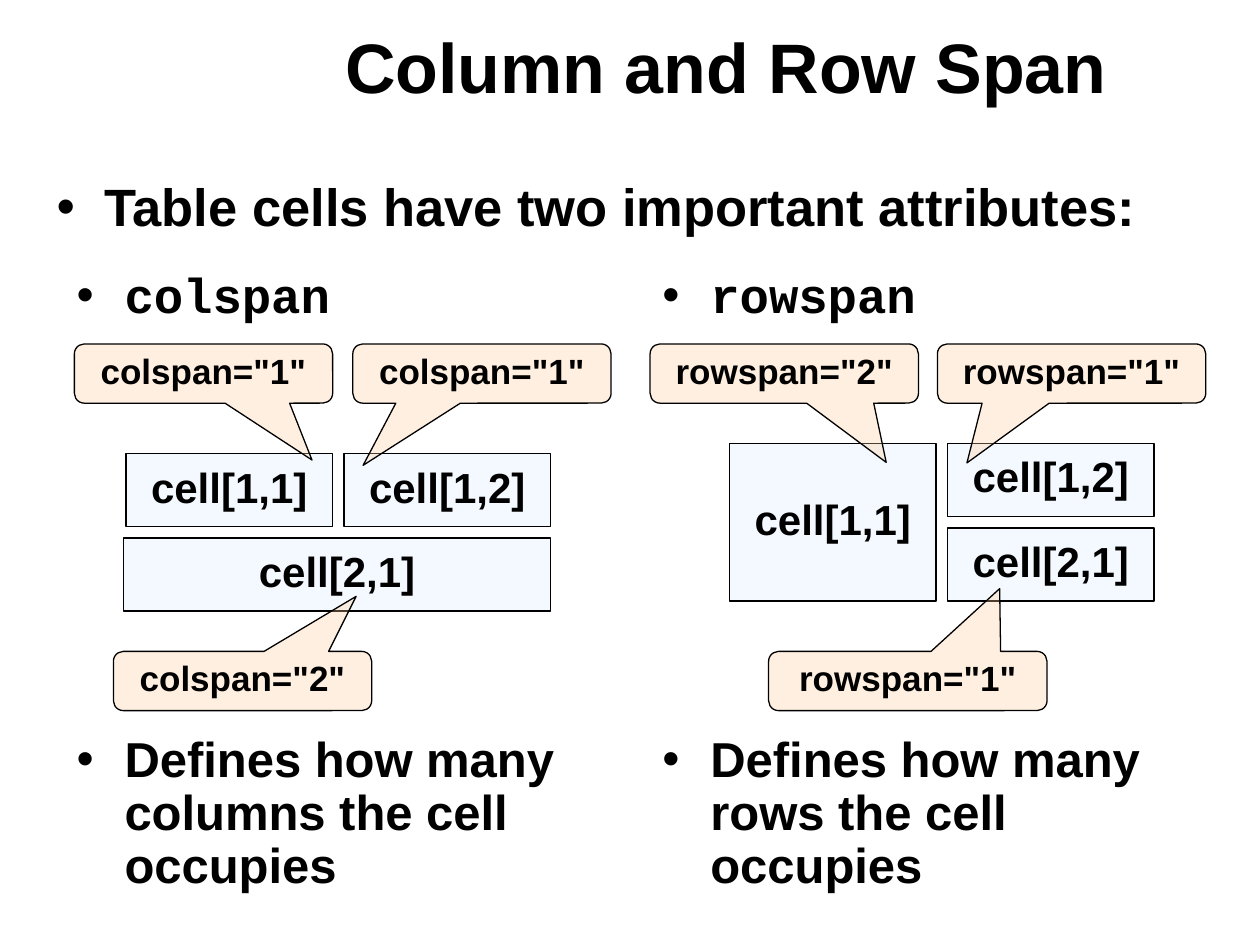
from typing import NamedTuple

from lxml.etree import SubElement
from pptx import Presentation
from pptx.dml.color import RGBColor
from pptx.enum.shapes import MSO_SHAPE
from pptx.enum.text import MSO_ANCHOR, PP_ALIGN
from pptx.oxml.ns import qn
from pptx.util import Inches, Pt

COLORS = {"ink": "000000", "cell": "DDECFF", "callout": "FFCC99"}
OPACITY = 30  # percent
CELL_WIDTH, CELL_HEIGHT, ROW_STEP = 1.64, 0.58, 0.67
CALLOUT_HEIGHT, UPPER_CALLOUTS, LOWER_CALLOUTS = 0.47, 2.73, 5.17
COLUMN_TOP, COLUMN_HEIGHT = 2.1, 5.04


class Cell(NamedTuple):
    text: str
    left: float
    top: float
    width: float = CELL_WIDTH
    height: float = CELL_HEIGHT


class Callout(NamedTuple):
    text: str
    left: float
    top: float
    width: float
    tip_x: float  # tip offset from the centre, as a share of the width
    tip_y: float  # the same, as a share of the height


class Column(NamedTuple):
    left: float
    width: float
    attribute: str
    meaning: str


def write(para, text: str, *, size: float, font: str = "Arial",
          align=PP_ALIGN.LEFT, line: float = 0.85, before: float = 0,
          bullet: bool = False) -> None:
    """Put bold text in a paragraph, with a hanging bullet if asked."""
    para.alignment, para.line_spacing = align, line
    para.space_before, para.space_after = Pt(before), Pt(0)
    if bullet:
        properties = para._p.get_or_add_pPr()
        properties.set("marL", str(Inches(0.38)))
        properties.set("indent", str(-Inches(0.38)))
        SubElement(properties, qn("a:buFont")).set("typeface", "Arial")
        SubElement(properties, qn("a:buChar")).set("char", "•")
    span = para.add_run()
    span.text = text
    span.font.name, span.font.size, span.font.bold = font, Pt(size), True
    span.font.color.rgb = RGBColor.from_string(COLORS["ink"])


def place(shape, left: float, top: float, width: float, height: float) -> None:
    shape.left, shape.top = Inches(left), Inches(top)
    shape.width, shape.height = Inches(width), Inches(height)


def add_panel(page, kind, area: tuple, color: str, text: str, size: float,
              inset: tuple):
    """Add an outlined, translucent shape with centred text."""
    shape = page.shapes.add_shape(kind, *map(Inches, area))
    shape.shadow.inherit = False
    shape.fill.solid()
    shape.fill.fore_color.rgb = RGBColor.from_string(COLORS[color])
    tint = shape._element.spPr.find(qn("a:solidFill"))[0]
    SubElement(tint, qn("a:alpha")).set("val", str(OPACITY * 1000))
    shape.line.color.rgb = RGBColor.from_string(COLORS["ink"])
    shape.line.width = Pt(0.75)
    frame = shape.text_frame
    frame.margin_left = frame.margin_right = Inches(inset[0])
    frame.margin_top = frame.margin_bottom = Inches(inset[1])
    frame.vertical_anchor = MSO_ANCHOR.MIDDLE
    frame.word_wrap = False
    write(frame.paragraphs[0], text, size=size, align=PP_ALIGN.CENTER)
    return shape


def add_cell(page, cell: Cell) -> None:
    add_panel(page, MSO_SHAPE.RECTANGLE, cell[1:], "cell", cell.text, 24,
              (0.2, 0.12))


def add_callout(page, callout: Callout) -> None:
    area = (callout.left, callout.top, callout.width, CALLOUT_HEIGHT)
    shape = add_panel(page, MSO_SHAPE.ROUNDED_RECTANGULAR_CALLOUT, area,
                      "callout", callout.text, 20, (0.1, 0.05))
    shape.adjustments[0] = callout.tip_x
    shape.adjustments[1] = callout.tip_y


def add_column(page, column: Column) -> None:
    """Add an attribute and its meaning, leaving room for the diagram between."""
    box = page.shapes.add_textbox(Inches(column.left), Inches(COLUMN_TOP),
                                  Inches(column.width), Inches(COLUMN_HEIGHT))
    frame = box.text_frame
    frame.word_wrap = True
    write(frame.paragraphs[0], column.attribute, size=28, font="Courier New",
          line=0.9, before=14, bullet=True)
    write(frame.add_paragraph(), column.meaning, size=28, line=0.9,
          before=235, bullet=True)


COLUMNS = [
    Column(0.51, 4.41, "colspan", "Defines how many columns the cell occupies"),
    Column(5.16, 4.33, "rowspan", "Defines how many rows the cell occupies"),
]
COLSPAN_TOP, ROWSPAN_TOP = 3.6, 3.52
CELLS = [
    Cell("cell[1,1]", 1, COLSPAN_TOP),
    Cell("cell[1,2]", 2.73, COLSPAN_TOP),
    Cell("cell[2,1]", 0.98, COLSPAN_TOP + ROW_STEP, width=3.39),
    Cell("cell[1,1]", 5.79, ROWSPAN_TOP, height=ROW_STEP + CELL_HEIGHT),
    Cell("cell[1,2]", 7.52, ROWSPAN_TOP),
    Cell("cell[2,1]", 7.52, ROWSPAN_TOP + ROW_STEP),
]
CALLOUTS = [
    Callout('colspan="1"', 2.8, UPPER_CALLOUTS, 2.05, -0.46, 1.55),
    Callout('colspan="1"', 0.59, UPPER_CALLOUTS, 2.05, 0.42, 1.46),
    Callout('colspan="2"', 0.9, LOWER_CALLOUTS, 2.05, 0.44, -1.43),
    Callout('rowspan="2"', 5.16, UPPER_CALLOUTS, 2.13, 0.38, 1.5),
    Callout('rowspan="1"', 7.44, UPPER_CALLOUTS, 2.13, -0.39, 1.51),
    Callout('rowspan="1"', 6.1, LOWER_CALLOUTS, 2.21, 0.33, -1.56),
]


def main() -> None:
    deck = Presentation()
    deck.slide_width, deck.slide_height = Inches(10), Inches(7.5)
    page = deck.slides.add_slide(deck.slide_layouts[1])

    # Title and opening bullet
    title, body = page.shapes.title, page.placeholders[1]
    place(title, 2.64, 0.08, 7.17, 0.99)
    title.text_frame.vertical_anchor = MSO_ANCHOR.MIDDLE
    write(title.text_frame.paragraphs[0], "Column and Row Span", size=40)
    place(body, 0.35, 1.39, 9.29, 5.83)
    write(body.text_frame.paragraphs[0],
          "Table cells have two important attributes:", size=30, line=0.9,
          before=15, bullet=True)

    # One column per attribute
    for column in COLUMNS:
        add_column(page, column)

    # Example tables, with callouts on top
    for cell in CELLS:
        add_cell(page, cell)
    for callout in CALLOUTS:
        add_callout(page, callout)

    deck.save("out.pptx")


if __name__ == "__main__":
    main()
